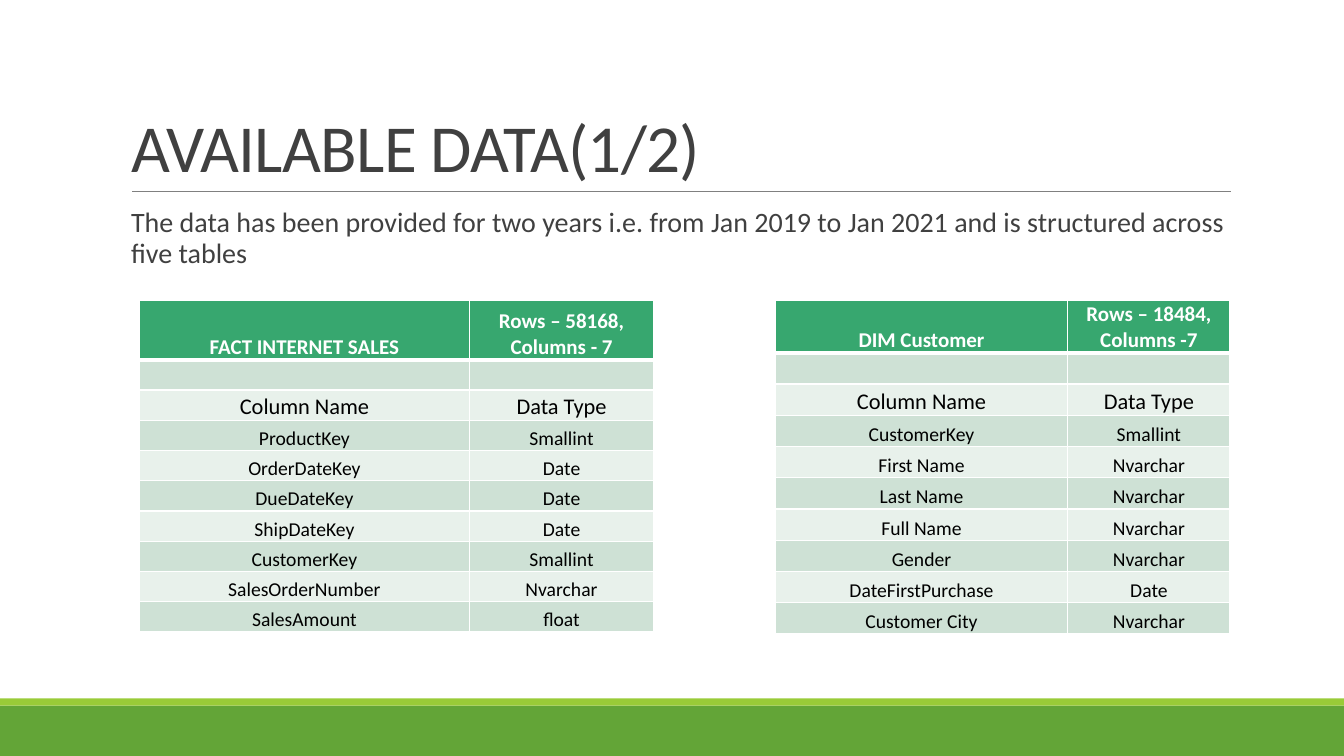
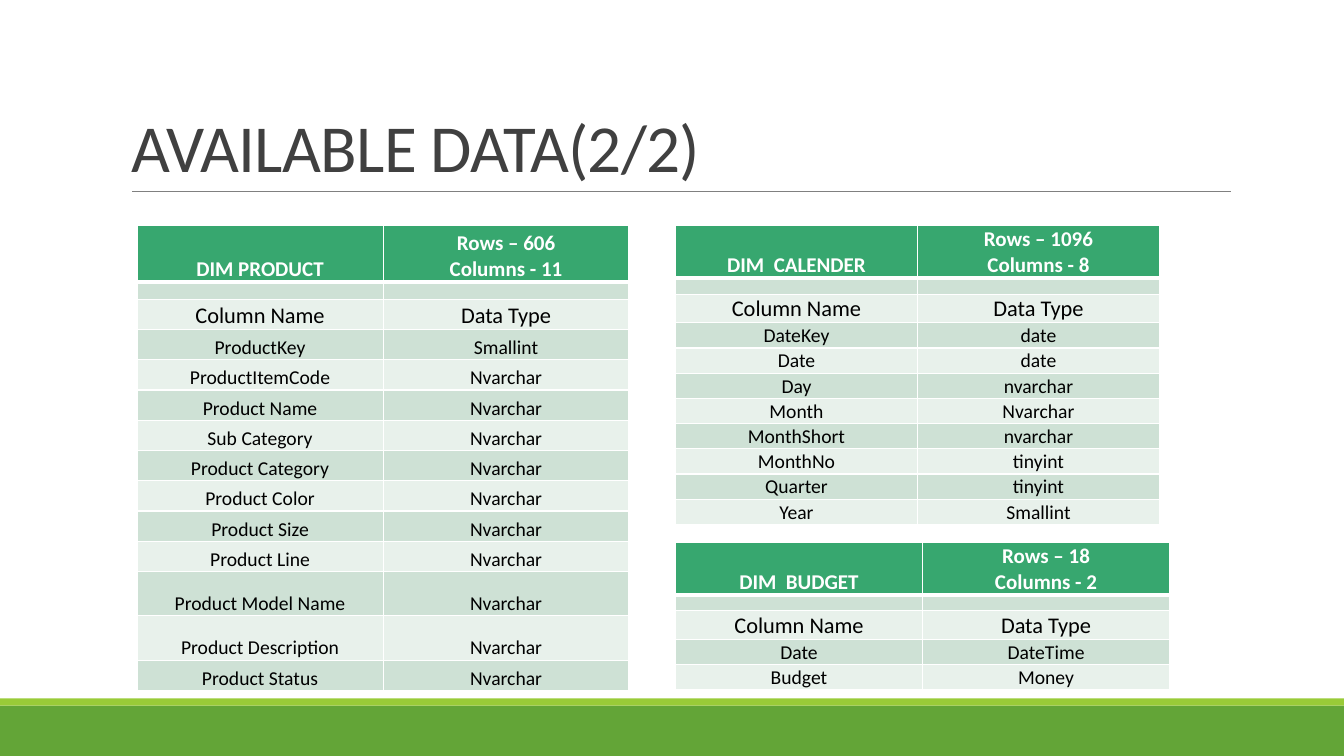
from lxml.etree import SubElement
from pptx import Presentation
from pptx.dml.color import RGBColor
from pptx.enum.shapes import MSO_CONNECTOR, MSO_SHAPE
from pptx.enum.text import MSO_ANCHOR, MSO_AUTO_SIZE, PP_ALIGN
from pptx.oxml import parse_xml
from pptx.oxml.ns import nsdecls, qn
from pptx.util import Inches, Pt

# Shared look
FONT = "Calibri"
GREEN, LIME, GRAY, TEXT = "63A537", "99CB38", "808080", "404040"
HEADER, BAND_DARK, BAND_LIGHT = "37A76F", "CEE1D5", "E8F1EB"
WHITE, BLACK = "FFFFFF", "000000"

TITLE_BOX = (1.2, 0.31, 11, 1.59)
BODY_BOX = (1.2, 2.02, 11, 4.4)
BANDS = [((0, 7, 13.33, 0.5), GREEN), ((0, 6.93, 13.33, 0.07), LIME)]
RULE = (1.31, 1.9, 12.21, 1.9)

TITLE_FORMAT = {"size": Pt(48), "name": FONT}
BODY_FORMAT = {"size": Pt(20), "name": FONT}
HEADER_FORMAT = {"size": Pt(15), "name": FONT, "bold": True}
HEADING_FORMAT = {"size": Pt(16), "name": FONT, "bold": False}
FIELD_FORMAT = {"size": Pt(14), "name": FONT, "bold": False}

# Content: each table lists its fields as (column name, data type);
# heights are header, gap, heading, field, with exceptions in "tall"
SALES = {
    "name": "FACT INTERNET SALES", "size": "Rows – 58168,\nColumns - 7",
    "at": (1.38, 2.98), "widths": (3.28, 1.82), "heights": (0.59, 0.3, 0.3, 0.3),
    "fields": [
        ("ProductKey", "Smallint"), ("OrderDateKey", "Date"), ("DueDateKey", "Date"),
        ("ShipDateKey", "Date"), ("CustomerKey", "Smallint"),
        ("SalesOrderNumber", "Nvarchar"), ("SalesAmount", "float"),
    ],
}
CUSTOMER = {
    "name": "DIM Customer", "size": "Rows – 18484,\nColumns -7",
    "at": (7.69, 2.98), "widths": (2.9, 1.61), "heights": (0.52, 0.31, 0.31, 0.31),
    "fields": [
        ("CustomerKey", "Smallint"), ("First Name", "Nvarchar"),
        ("Last Name", "Nvarchar"), ("Full Name", "Nvarchar"), ("Gender", "Nvarchar"),
        ("DateFirstPurchase", "Date"), ("Customer City", "Nvarchar"),
    ],
}
PRODUCT = {
    "name": "DIM PRODUCT", "size": "Rows – 606\nColumns - 11",
    "at": (1.36, 2.24), "widths": (2.44, 2.44), "heights": (0.56, 0.17, 0.3, 0.3),
    "tall": {"Product Model Name": 0.44, "Product Description": 0.44},
    "fields": [("ProductKey", "Smallint")] + [
        (name, "Nvarchar") for name in (
            "ProductItemCode", "Product Name", "Sub Category", "Product Category",
            "Product Color", "Product Size", "Product Line", "Product Model Name",
            "Product Description", "Product Status")
    ],
}
CALENDAR = {
    "name": "DIM  CALENDER", "size": "Rows – 1096\nColumns - 8",
    "at": (6.7, 2.24), "widths": (2.4, 2.4), "heights": (0.52, 0.16, 0.28, 0.25),
    "fields": [
        ("DateKey", "date"), ("Date", "date"), ("Day", "nvarchar"),
        ("Month", "Nvarchar"), ("MonthShort", "nvarchar"), ("MonthNo", "tinyint"),
        ("Quarter", "tinyint"), ("Year", "Smallint"),
    ],
}
BUDGET = {
    "name": "DIM  BUDGET", "size": "Rows – 18\nColumns - 2",
    "at": (6.7, 5.38), "widths": (2.45, 2.45), "heights": (0.52, 0.16, 0.28, 0.25),
    "fields": [("Date", "DateTime"), ("Budget", "Money")],
}
SLIDES = [
    {"title": "AVAILABLE DATA(1/2)",
     "body": "The data has been provided for two years i.e. from Jan 2019 to Jan 2021 "
             "and is structured across five tables",
     "tables": [SALES, CUSTOMER]},
    {"title": "AVAILABLE DATA(2/2)", "tables": [PRODUCT, CALENDAR, BUDGET]},
]


def color(value):
    return RGBColor.from_string(value)


def format_font(font, settings, ink):
    for name, value in settings.items():
        setattr(font, name, value)
    font.color.rgb = color(ink)


def fill_placeholder(shape, text, box, settings, frame_settings, paragraph_settings):
    shape.left, shape.top, shape.width, shape.height = map(Inches, box)
    frame = shape.text_frame
    frame.text = text
    frame.auto_size = MSO_AUTO_SIZE.NONE
    paragraph = frame.paragraphs[0]
    for target, values in ((frame, frame_settings), (paragraph, paragraph_settings)):
        for name, value in values.items():
            setattr(target, name, value)
    format_font(paragraph.runs[0].font, settings, TEXT)
    return paragraph


def add_title(slide, text):
    paragraph = fill_placeholder(
        slide.shapes.title, text, TITLE_BOX, TITLE_FORMAT,
        {"vertical_anchor": MSO_ANCHOR.BOTTOM},
        {"alignment": PP_ALIGN.LEFT, "line_spacing": 0.85})
    paragraph.runs[0].font._element.set("spc", "-50")


def add_body(slide, text):
    paragraph = fill_placeholder(
        slide.placeholders[1], text, BODY_BOX, BODY_FORMAT,
        {"margin_left": 0, "margin_right": 0, "vertical_anchor": MSO_ANCHOR.TOP},
        {"line_spacing": 0.9, "space_before": Pt(12), "space_after": Pt(2)})
    properties = paragraph._p.get_or_add_pPr()
    properties.set("marL", str(Inches(0.1)))
    properties.set("indent", "0")
    SubElement(properties, qn("a:buNone"))


def add_master_parts(master, slide):
    """Draw the bands and the title rule, then move them to the master."""
    parts = []
    for box, fill in BANDS:
        band = slide.shapes.add_shape(MSO_SHAPE.RECTANGLE, *map(Inches, box))
        band.shadow.inherit = False
        band.fill.solid()
        band.fill.fore_color.rgb = color(fill)
        band.line.fill.background()
        parts.append(band)
    rule = slide.shapes.add_connector(MSO_CONNECTOR.STRAIGHT, *map(Inches, RULE))
    rule.line.color.rgb = color(GRAY)
    rule.line.width = Pt(0.5)
    SubElement(rule.element.spPr, qn("a:effectLst"))
    parts.append(rule)
    for part in parts:
        master.shapes.element.append(part.element)


def set_borders(cell, top, bottom):
    properties = cell._tc.get_or_add_tcPr()
    sides = (("lnL", 1), ("lnR", 1), ("lnT", top), ("lnB", bottom))
    for index, (side, width) in enumerate(sides):
        properties.insert(index, parse_xml(
            f'<a:{side} {nsdecls("a")} w="{Pt(width)}"><a:solidFill>'
            f'<a:srgbClr val="{WHITE}"/></a:solidFill></a:{side}>'))


def fill_cell(cell, text, settings, ink, fill):
    cell.text = text
    cell.vertical_anchor = MSO_ANCHOR.BOTTOM
    cell.margin_left = cell.margin_right = cell.margin_top = Inches(0.01)
    cell.margin_bottom = 0
    cell.fill.solid()
    cell.fill.fore_color.rgb = color(fill)
    for paragraph in cell.text_frame.paragraphs:
        paragraph.alignment = PP_ALIGN.CENTER
        for run in paragraph.runs:
            format_font(run.font, settings, ink)
        if not paragraph.runs:  # keeps the empty row low
            SubElement(paragraph._p, qn("a:endParaRPr")).set("sz", "500")


def add_data_table(slide, data):
    rows = [(data["name"], data["size"]), ("", ""),
            ("Column Name", "Data Type")] + data["fields"]
    header, gap, heading, field = data["heights"]
    tall = data.get("tall", {})
    heights = [header, gap, heading] + [tall.get(name, field) for name, _ in data["fields"]]
    left, top = data["at"]
    table = slide.shapes.add_table(
        len(rows), 2, Inches(left), Inches(top),
        Inches(sum(data["widths"])), Inches(sum(heights))).table
    for column, width in zip(table.columns, data["widths"]):
        column.width = Inches(width)
    for index, (texts, height) in enumerate(zip(rows, heights)):
        table.rows[index].height = Inches(height)
        if index == 0:
            settings, ink, fill = HEADER_FORMAT, WHITE, HEADER
        else:
            settings = HEADING_FORMAT if index == 2 else FIELD_FORMAT
            ink, fill = BLACK, BAND_DARK if index % 2 else BAND_LIGHT
        for cell, text in zip(table.rows[index].cells, texts):
            fill_cell(cell, text, settings, ink, fill)
            set_borders(cell, 3 if index == 1 else 1, 3 if index == 0 else 1)


def main():
    presentation = Presentation()
    presentation.slide_width = Inches(13.33)
    presentation.slide_height = Inches(7.5)
    for number, content in enumerate(SLIDES):
        layout = presentation.slide_layouts[1 if "body" in content else 5]
        slide = presentation.slides.add_slide(layout)
        if number == 0:
            add_master_parts(presentation.slide_master, slide)
        add_title(slide, content["title"])
        if "body" in content:
            add_body(slide, content["body"])
        for data in content["tables"]:
            add_data_table(slide, data)
    presentation.save("out.pptx")


if __name__ == "__main__":
    main()
